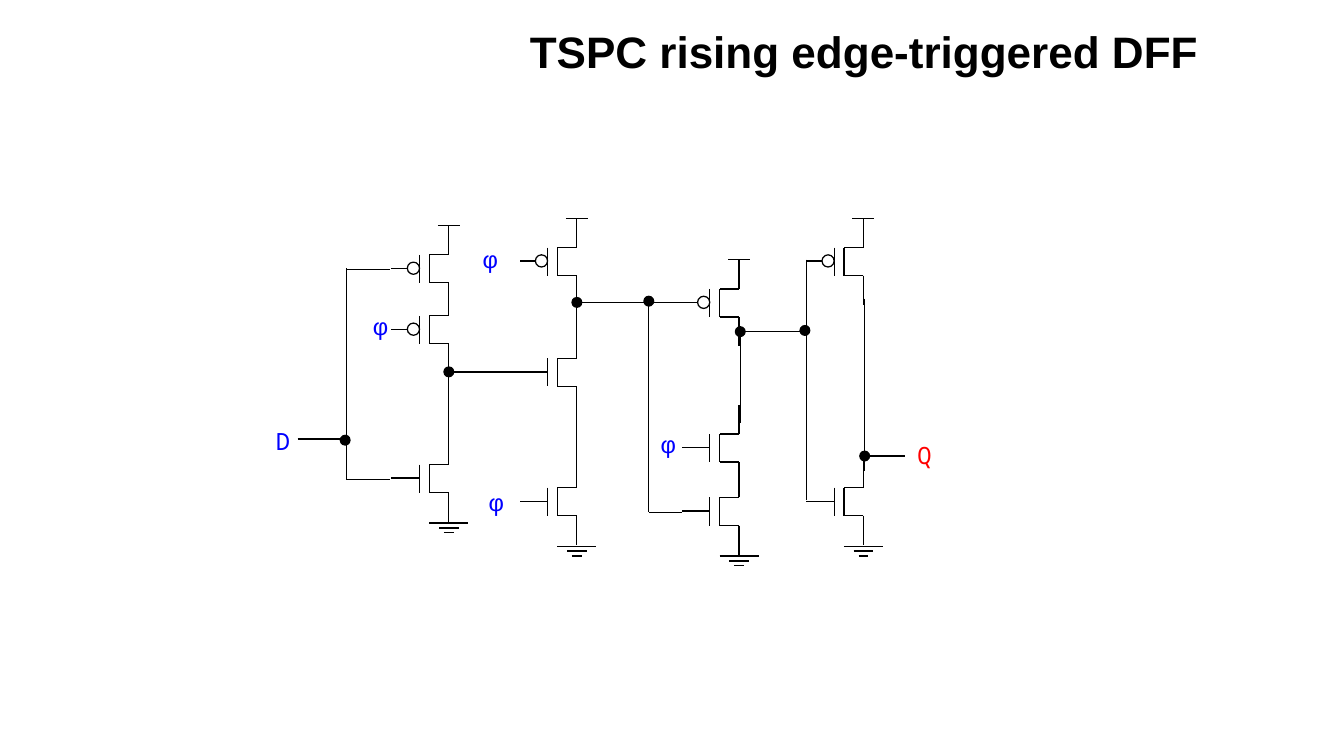
from pptx import Presentation
from pptx.dml.color import RGBColor
from pptx.enum.shapes import MSO_CONNECTOR as LINE, MSO_SHAPE as SHAPE
from pptx.enum.text import MSO_ANCHOR as ANCHOR, MSO_AUTO_SIZE as FIT, PP_ALIGN as ALIGN
from pptx.oxml.ns import qn
from pptx.util import Inches, Pt
from lxml import etree

BLACK = RGBColor(0, 0, 0)
BLUE = RGBColor(0, 0, 255)
RED = RGBColor(255, 0, 0)
SANS, MONO = "Arial", "Noto Sans Mono"

TITLE = "TSPC rising edge-triggered DFF"

# Transistors: drain x, top y, p-type, supply rail at the outer end
GATES = [
    (3.68, 1.85, True, True), (3.68, 2.35, True, False), (3.68, 3.57, False, True),
    (4.73, 1.79, True, True), (4.73, 2.70, False, False), (4.73, 3.76, False, True),
    (6.06, 2.13, True, True), (6.06, 3.32, False, False), (6.06, 3.84, False, True),
    (7.08, 1.79, True, True), (7.08, 3.76, False, True),
]

# Wires: x1, y1, x2, y2
WIRES = [
    (2.44, 3.6, 2.81, 3.6), (2.84, 2.2, 2.84, 3.93),
    (2.84, 2.21, 3.2, 2.21), (2.84, 3.93, 3.2, 3.93),
    (3.68, 2.85, 3.68, 3.72), (3.67, 3.05, 4.34, 3.05),
    (4.73, 2.46, 4.73, 2.89), (4.73, 3.38, 4.73, 3.8),
    (4.72, 2.48, 5.59, 2.48), (5.32, 2.47, 5.32, 4.2), (5.32, 4.2, 5.59, 4.2),
    (6.07, 2.72, 6.07, 3.47), (6.06, 2.72, 6.6, 2.72), (6.61, 2.13, 6.61, 4.1),
    (7.09, 2.45, 7.09, 3.86), (7.09, 3.74, 7.42, 3.74),
]

# Junction centres
NODES = [(2.83, 3.61), (3.68, 3.05), (4.73, 2.48), (5.32, 2.47),
         (6.07, 2.72), (6.6, 2.71), (7.09, 3.74)]

# Labels: text, left, top, font, colour
LABELS = [
    ("D", 1.95, 3.45, MONO, BLUE), ("φ", 2.75, 2.51, SANS, BLUE),
    ("φ", 3.65, 1.96, SANS, BLUE), ("φ", 3.70, 3.95, SANS, BLUE),
    ("φ", 5.11, 3.48, SANS, BLUE), ("Q", 7.21, 3.57, MONO, RED),
]

# Transistor symbol, measured from the drain's top end
BODY = [
    (0, 0, 0, 0.24), (0, 0.24, -0.16, 0.24), (-0.16, 0.24, -0.16, 0.47),
    (0, 0.47, -0.16, 0.47), (-0.24, 0.24, -0.24, 0.47), (0, 0.47, 0, 0.71),
]
GATE_X, GATE_Y = -0.47, 0.35
GROUND = [(0.16, 0.72), (0.08, 0.76), (0.04, 0.80)]  # half width, y
SUPPLY = [(0.09, 0)]

deck = Presentation()
deck.slide_width, deck.slide_height = Inches(11.02), Inches(6.2)
slide = deck.slides.add_slide(deck.slide_layouts[5])


def place(shape, x, y, w, h):
    shape.left, shape.top = Inches(x), Inches(y)
    shape.width, shape.height = Inches(w), Inches(h)


def write(shape, text, size, font, color, align, bold=False):
    frame = shape.text_frame
    frame.word_wrap = True
    frame.margin_left = frame.margin_right = Inches(0.1)
    frame.margin_top = frame.margin_bottom = Inches(0.05)
    para = frame.paragraphs[0]
    para.alignment = align
    run = para.add_run()
    run.text = text
    run.font.size, run.font.name, run.font.bold = Pt(size), font, bold
    run.font.color.rgb = color
    return frame


# Title
title = slide.shapes.title
place(title, 0, 0.07, 9.93, 0.77)
frame = write(title, TITLE, 26, SANS, BLACK, ALIGN.RIGHT, True)
frame.vertical_anchor = ANCHOR.MIDDLE
frame.auto_size = FIT.NONE
frame.paragraphs[0].line_spacing = 0.85

# Circuit parts, all in one group
parts = slide.shapes.add_group_shape().shapes


def wire(x1, y1, x2, y2):
    line = parts.add_connector(LINE.STRAIGHT, *map(Inches, (x1, y1, x2, y2)))
    line.line.color.rgb = BLACK
    line.line.width = Pt(0.75)
    etree.SubElement(line._element.spPr, qn("a:effectLst"))


def ring(x, y, size, solid):
    dot = parts.add_shape(SHAPE.OVAL, Inches(x - size / 2), Inches(y - size / 2),
                          Inches(size), Inches(size))
    dot.shadow.inherit = False
    dot.line.color.rgb = BLACK
    dot.line.width = Pt(0.75)
    if solid:
        dot.fill.solid()
        dot.fill.fore_color.rgb = BLACK
    else:
        dot.fill.background()


def gate(x, y, ptype, rail):
    for x1, y1, x2, y2 in BODY:
        wire(x + x1, y + y1, x + x2, y + y2)
    end = -0.34 if ptype else -0.24
    wire(x + end, y + GATE_Y, x + GATE_X, y + GATE_Y)
    if ptype:
        ring(x - 0.29, y + GATE_Y, 0.1, False)
    if rail:
        for half, drop in SUPPLY if ptype else GROUND:
            wire(x - half, y + drop, x + half, y + drop)


for item in GATES:
    gate(*item)
for item in WIRES:
    wire(*item)
for x, y in NODES:
    ring(x, y, 0.08, True)

# Signal labels
for text, x, y, font, color in LABELS:
    box = parts.add_textbox(Inches(x), Inches(y), Inches(0.74), Inches(0.34))
    write(box, text, 14, font, color, ALIGN.CENTER)

deck.save("out.pptx")
